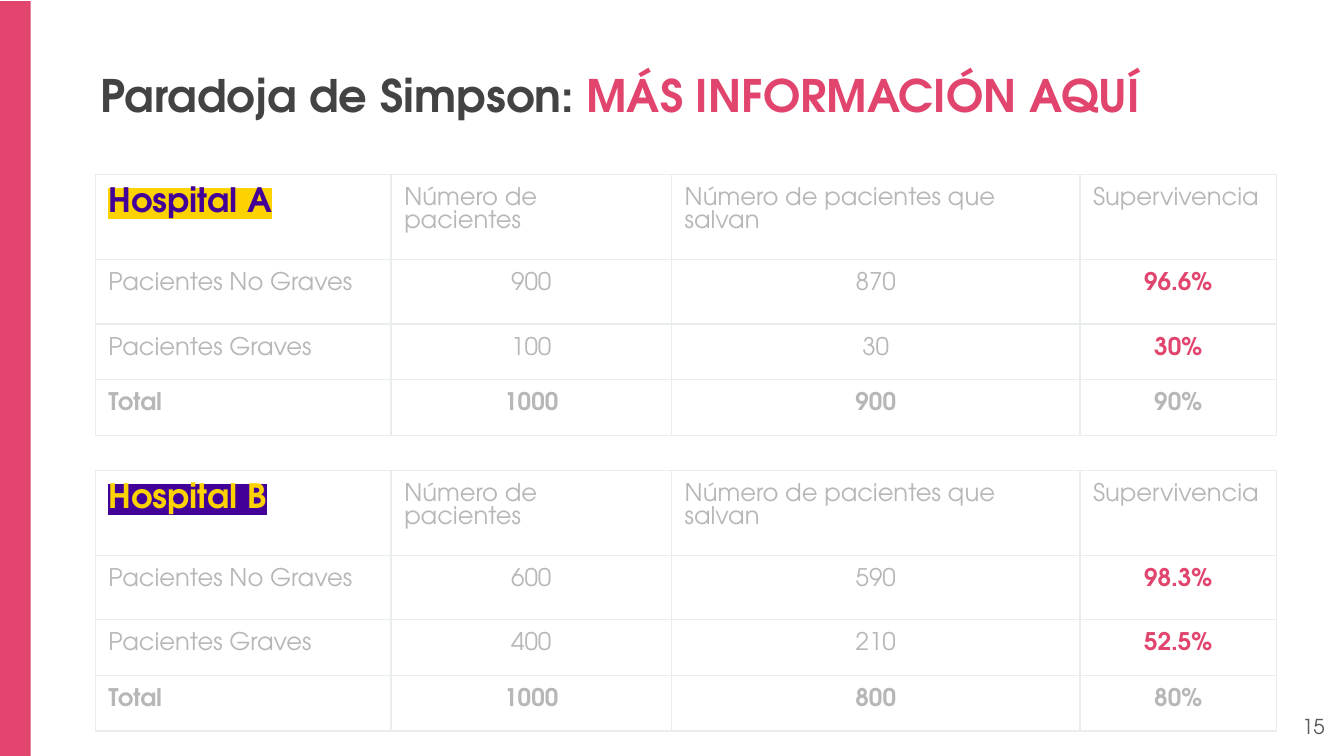
"""Builds a slide with two hospital survival tables that show Simpson's paradox."""
from lxml.etree import SubElement
from pptx import Presentation
from pptx.dml.color import RGBColor
from pptx.enum.shapes import MSO_SHAPE
from pptx.enum.text import MSO_ANCHOR, MSO_AUTO_SIZE, PP_ALIGN
from pptx.oxml.ns import qn
from pptx.util import Cm, Pt

COLORS = {
    "accent": "E1446D",
    "title": "434343",
    "number": "595959",
    "text": "B7B7B7",
    "border": "E9EDEE",
    "purple": "430098",
    "yellow": "FCD300",
}
FONT = "TeX Gyre Adventor"
INSET = Cm(0.25)
COLUMN_WIDTHS = [5.59, 5.3, 7.72, 3.71]
ROW_HEIGHTS = [1.07, 1.22, 0.79, 0.79]
HEADERS = ["Número de pacientes", "Número de pacientes que salvan", "Supervivencia"]
HOSPITALS = [
    ("Hospital A", 3.3, "purple", "yellow", [
        ["Pacientes No Graves", "900", "870", "96.6%"],
        ["Pacientes Graves", "100", "30", "30%"],
        ["Total", "1000", "900", "90%"],
    ]),
    ("Hospital B", 8.89, "yellow", "purple", [
        ["Pacientes No Graves", "600", "590", "98.3%"],
        ["Pacientes Graves", "400", "210", "52.5%"],
        ["Total", "1000", "800", "80%"],
    ]),
]


def format_paragraph(paragraph, size, color, bold=False, alignment=PP_ALIGN.LEFT):
    paragraph.alignment = alignment
    paragraph.font.name = FONT
    paragraph.font.size = Pt(size)
    paragraph.font.bold = bold
    paragraph.font.color.rgb = RGBColor.from_string(COLORS[color])


def set_insets(item):
    item.margin_left = item.margin_right = INSET
    item.margin_top = item.margin_bottom = INSET


presentation = Presentation()
presentation.slide_width = Cm(25.4)
presentation.slide_height = Cm(14.29)
slide = presentation.slides.add_slide(presentation.slide_layouts[5])

sidebar = slide.shapes.add_shape(MSO_SHAPE.RECTANGLE, 0, Cm(0.02), Cm(0.58), Cm(14.27))
sidebar.shadow.inherit = False
sidebar.fill.solid()
sidebar.fill.fore_color.rgb = RGBColor.from_string(COLORS["accent"])
sidebar.line.fill.background()

title = slide.shapes.title
title.left, title.top, title.width, title.height = Cm(1.65), Cm(1.02), Cm(23.75), Cm(1.52)
title_frame = title.text_frame
set_insets(title_frame)
title_frame.auto_size = MSO_AUTO_SIZE.NONE
title_frame.vertical_anchor = MSO_ANCHOR.BOTTOM
title_paragraph = title_frame.paragraphs[0]
format_paragraph(title_paragraph, 24, "title", bold=True)
for text, color in [("Paradoja de Simpson:", "title"), (" MÁS INFORMACIÓN AQUÍ", "accent")]:
    run = title_paragraph.add_run()
    run.text = text
    run.font.color.rgb = RGBColor.from_string(COLORS[color])

number_box = slide.shapes.add_textbox(Cm(23.77), Cm(13.18), Cm(1.52), Cm(1.09))
number_frame = number_box.text_frame
number_frame.word_wrap = True
number_frame.vertical_anchor = MSO_ANCHOR.MIDDLE
set_insets(number_frame)
number_frame.text = "15"
format_paragraph(number_frame.paragraphs[0], 11, "number", alignment=PP_ALIGN.RIGHT)

for hospital, top, name_color, highlight_color, patients in HOSPITALS:
    rows = [[hospital, *HEADERS], *patients]
    table = slide.shapes.add_table(
        len(rows), len(COLUMN_WIDTHS), Cm(1.8), Cm(top),
        Cm(sum(COLUMN_WIDTHS)), Cm(sum(ROW_HEIGHTS))).table
    table.first_row = False
    table.horz_banding = False
    for column, width in zip(table.columns, COLUMN_WIDTHS):
        column.width = Cm(width)
    for row, height in zip(table.rows, ROW_HEIGHTS):
        row.height = Cm(height)

    for row_index, values in enumerate(rows):
        for column_index, value in enumerate(values):
            cell = table.cell(row_index, column_index)
            cell.text = value
            set_insets(cell)
            properties = cell._tc.get_or_add_tcPr()
            for side in ("lnL", "lnR", "lnT", "lnB"):
                border = SubElement(properties, qn(f"a:{side}"), w=str(Pt(0.75)))
                border_fill = SubElement(border, qn("a:solidFill"))
                SubElement(border_fill, qn("a:srgbClr"), val=COLORS["border"])
            cell.fill.background()

            paragraph = cell.text_frame.paragraphs[0]
            is_total = row_index == len(rows) - 1
            is_rate = column_index == 3 and row_index > 0 and not is_total
            centered = row_index > 0 and column_index > 0
            format_paragraph(
                paragraph, 13, "accent" if is_rate else "text", bold=is_total or is_rate,
                alignment=PP_ALIGN.CENTER if centered else PP_ALIGN.LEFT)

    name_paragraph = table.cell(0, 0).text_frame.paragraphs[0]
    format_paragraph(name_paragraph, 18, name_color, bold=True)
    name_run = name_paragraph.runs[0]
    name_run.font.color.rgb = RGBColor.from_string(COLORS[name_color])
    highlight = SubElement(name_run.font._element, qn("a:highlight"))
    SubElement(highlight, qn("a:srgbClr"), val=COLORS[highlight_color])

presentation.save("out.pptx")
